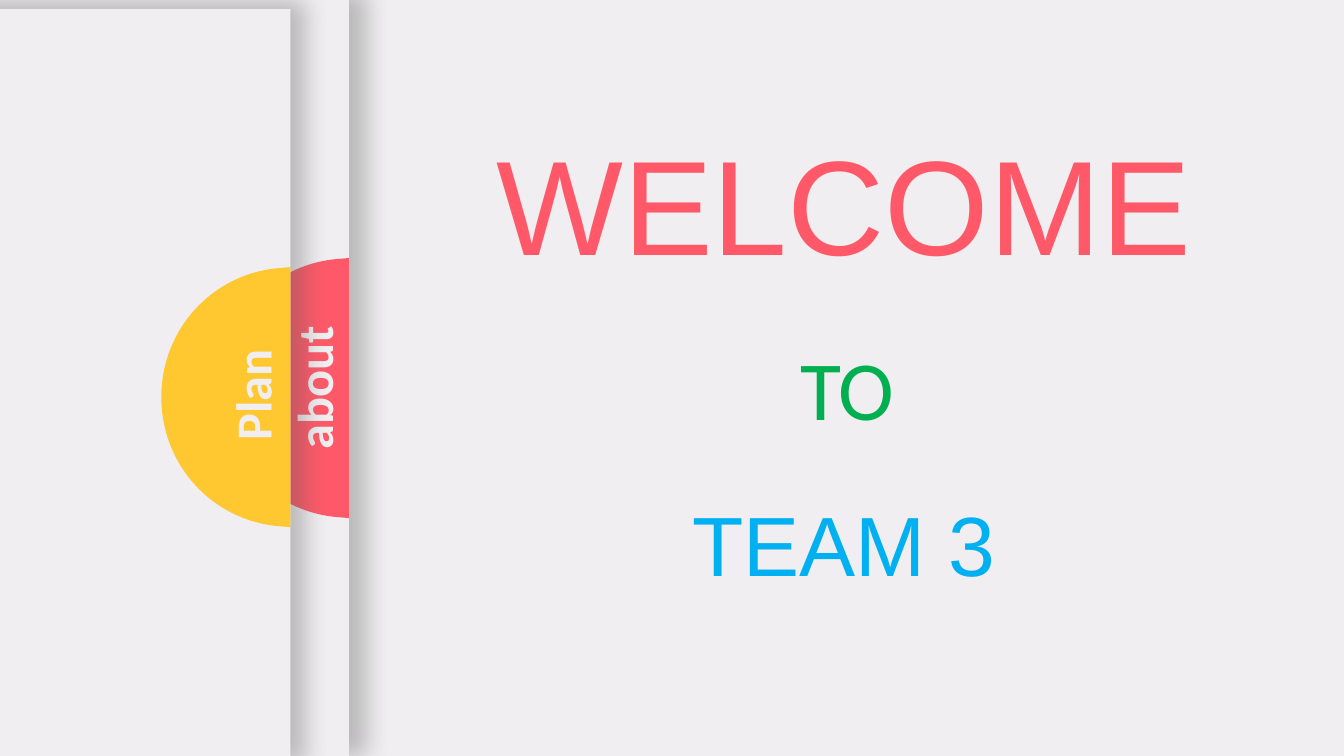
"""Build a welcome slide with two stacked side tabs."""
from lxml import etree
from pptx import Presentation
from pptx import util as u
from pptx.dml.color import RGBColor
from pptx.enum import shapes, text
from pptx.oxml.ns import qn


def color(value):
    return RGBColor.from_string(value)


class Slide:
    paper = "F0EEF0"
    shade = "595959"

    def __init__(self, deck):
        self.page = deck.slides.add_slide(deck.slide_layouts[6])
        fill = self.page.background.fill
        fill.solid()
        fill.fore_color.rgb = color(self.paper)

    def paint(self, shape, fill):
        shape.shadow.inherit = False
        shape.fill.solid()
        shape.fill.fore_color.rgb = color(fill)
        shape.line.fill.background()

    def label(self, words, place, size, ink, font="Arial", bold=False, rotation=0):
        box = self.page.shapes.add_textbox(*map(u.Inches, place))
        box.rotation = rotation
        box.text_frame.word_wrap = True
        para = box.text_frame.paragraphs[0]
        para.alignment = text.PP_ALIGN.CENTER
        span = para.add_run()
        span.text = words
        span.font.color.rgb = color(ink)
        style = {"size": u.Pt(size), "name": font, "bold": bold}
        for name, value in style.items():
            setattr(span.font, name, value)

    def panel(self, right, top, width):
        place = (right - width, top, width, 7.5)
        sheet = self.page.shapes.add_shape(
            shapes.MSO_SHAPE.RECTANGLE, *map(u.Inches, place))
        self.paint(sheet, self.paper)
        effects = sheet._element.spPr.find(qn("a:effectLst"))
        shadow = etree.SubElement(
            effects, qn("a:outerShdw"), blurRad=str(u.Pt(17)),
            dist=str(u.Pt(3)), dir="0", sx="101000", sy="101000",
            algn="bl", rotWithShape="0")
        tint = etree.SubElement(shadow, qn("a:srgbClr"), val=self.shade)
        etree.SubElement(tint, qn("a:alpha"), val="35000")

    def half_disc(self, right, top, fill):
        width, height, shoulder = 1.28, 2.58, 1.16
        middle, pull_x, pull_y = height / 2, 0.5, 0.62
        left = right - width
        corners = [(width, 0), (width, height), (shoulder, height - 0.01),
                   (0, middle), (shoulder, 0.01)]
        points = [(u.Inches(left + x), u.Inches(top + y)) for x, y in corners]
        builder = self.page.shapes.build_freeform(*points[0])
        builder.add_line_segments(points[1:], close=True)
        disc = builder.convert_to_shape()
        self.paint(disc, fill)
        handles = [[(pull_x, height - 0.07), (0, middle + pull_y + 0.05)],
                   [(0, middle - pull_y - 0.05), (pull_x, 0.07)]]
        lines = list(disc._element.iter(qn("a:lnTo")))[2:4]
        for line, pair in zip(lines, handles):
            line.tag = qn("a:cubicBezTo")
            for index, (x, y) in enumerate(pair):
                point = etree.Element(
                    qn("a:pt"), x=str(u.Inches(x)), y=str(u.Inches(y)))
                line.insert(index, point)

    def tab(self, words, right, top, width, fill, label_left, label_top):
        self.panel(right, top, width)
        self.half_disc(right, top + 2.56, fill)
        self.label(words, (label_left, label_top, 2.18, 0.71), 36,
                   self.paper, "Calibri", True, 270)


def main():
    deck = Presentation()
    deck.slide_width = u.Inches(13.33)
    deck.slide_height = u.Inches(7.5)
    slide = Slide(deck)
    slide.label("WELCOME", (4.39, 1.15, 7.96, 1.72), 96, "FF5969")
    slide.label("TEAM 3", (4.39, 4.84, 7.96, 1.11), 60, "00B0F0")
    slide.tab("about", 3.46, 0, 13.65, "FF5969", 2.02, 3.49)
    slide.tab("Plan", 2.88, 0.09, 10.89, "FFC730", 1.41, 3.56)
    slide.label("TO", (6.87, 3.29, 3.07, 1.11), 60, "00B050", "Calibri")
    deck.save("out.pptx")


if __name__ == "__main__":
    main()
